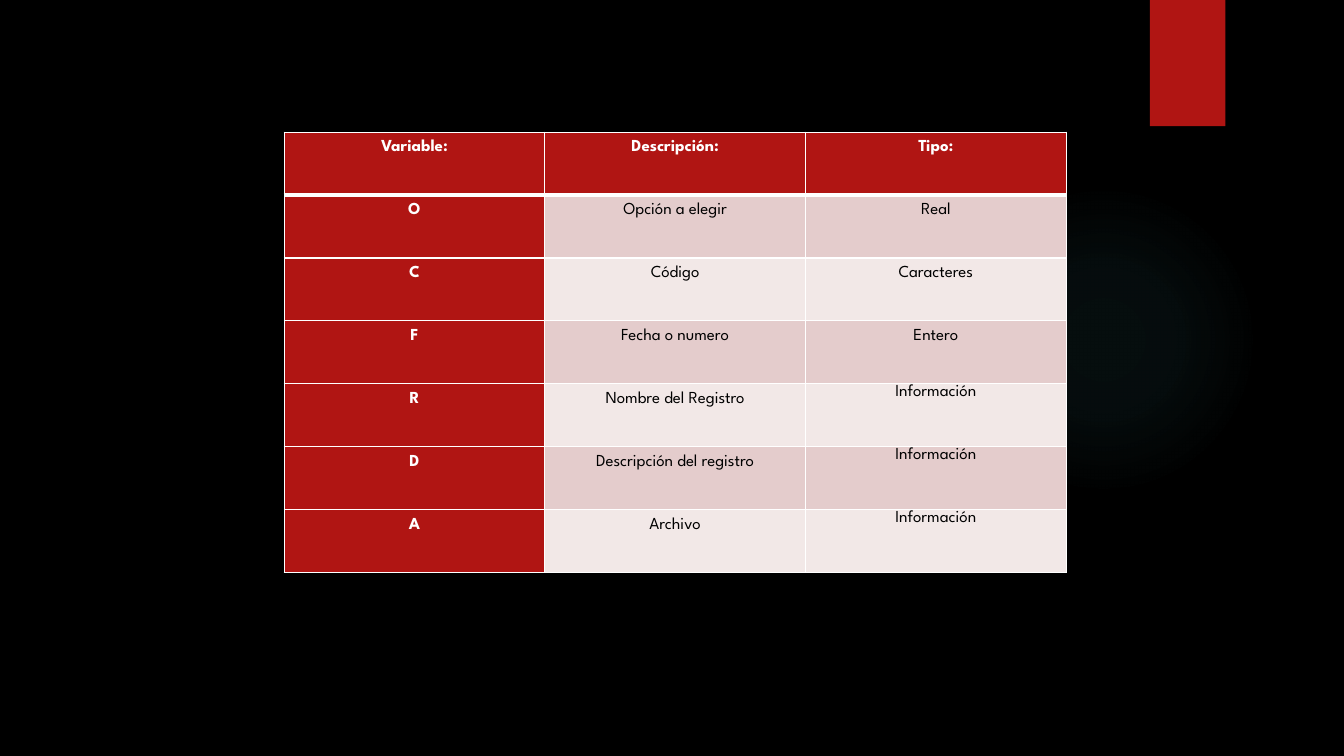
"""Build a slide with a table of variables, their descriptions and types."""
from dataclasses import dataclass

from lxml.etree import SubElement
from pptx import Presentation
from pptx.dml.color import RGBColor
from pptx.enum.shapes import MSO_SHAPE as Shp
from pptx.enum.text import PP_ALIGN as Align
from pptx.oxml import parse_xml
from pptx.oxml.ns import nsdecls, qn
from pptx.util import Cm, Pt


@dataclass(frozen=True)
class Theme:
    """Colours, font and type sizes."""
    background: str = "000000"
    accent: str = "B01513"
    glow: str = "50B9C1"
    light: str = "FFFFFF"
    dark: str = "000000"
    bands: tuple[str, str] = ("E4CCCC", "F2E8E7")
    font: str = "League Spartan"
    size: float = 12
    border: float = 1
    header_border: float = 3


@dataclass(frozen=True)
class Box:
    """Position and size in centimetres."""
    left: float
    top: float
    width: float
    height: float

    def lengths(self) -> tuple:
        """Return the four values as lengths."""
        return Cm(self.left), Cm(self.top), Cm(self.width), Cm(self.height)


@dataclass(frozen=True)
class Row:
    """One table row, with the line spacing of its last cell."""
    variable: str
    description: str
    kind: str
    kind_spacing: float = 1.5


THEME = Theme()
GLOW = Box(23.9, 4.65, 7.82, 7.82)
TAB = Box(28.98, 0, 1.9, 3.18)
TABLE = Box(7.16, 3.33, 19.71, 11.1)
GLOW_STOPS = ((0, 7), (36, 6), (69, 0))
ROWS = (
    Row("Variable:", "Descripción:", "Tipo:"),
    Row("O", "Opción a elegir", "Real"),
    Row("C", "Código", "Caracteres"),
    Row("F", "Fecha o numero", "Entero"),
    Row("R", "Nombre del Registro", "Información", 1.07),
    Row("D", "Descripción del registro", "Información", 1.07),
    Row("A", "Archivo", "Información", 1.07),
)


def rgb(value: str) -> RGBColor:
    """Turn a hex string into a colour."""
    return RGBColor.from_string(value)


def add_plain(s, kind: Shp, box: Box, color: str):
    """Add a filled shape without line or shadow."""
    sp = s.shapes.add_shape(kind, *box.lengths())
    sp.shadow.inherit = False
    sp.line.fill.background()
    sp.fill.solid()
    sp.fill.fore_color.rgb = rgb(color)
    return sp


def add_glow(s) -> None:
    """Add the circle that fades out from its centre."""
    sp = add_plain(s, Shp.OVAL, GLOW, THEME.glow)
    stops = "".join(
        f'<a:gs pos="{pos * 1000}"><a:srgbClr val="{THEME.glow}">'
        f'<a:alpha val="{alpha * 1000}"/></a:srgbClr></a:gs>'
        for pos, alpha in GLOW_STOPS)
    gradient = parse_xml(
        f'<a:gradFill {nsdecls("a")} rotWithShape="1"><a:gsLst>{stops}</a:gsLst>'
        '<a:path path="circle"><a:fillToRect l="50000" t="50000" r="50000" '
        'b="50000"/></a:path></a:gradFill>')
    solid = sp.element.spPr.find(qn("a:solidFill"))
    solid.getparent().replace(solid, gradient)


def set_borders(cell, bottom: float, top: float) -> None:
    """Draw the four borders of a cell, ahead of its fill."""
    props = cell._tc.get_or_add_tcPr()
    widths = {"lnL": THEME.border, "lnR": THEME.border, "lnT": top, "lnB": bottom}
    for side, width in widths.items():
        line = SubElement(props, qn(f"a:{side}"), w=str(Pt(width)))
        fill = SubElement(line, qn("a:solidFill"))
        SubElement(fill, qn("a:srgbClr"), val=THEME.light)


def fill_cell(cell, text: str, spacing: float, color: str, strong: bool) -> None:
    """Write and style the contents of a cell."""
    cell.margin_left = cell.margin_right = Cm(0.19)
    cell.margin_top = cell.margin_bottom = 0
    cell.fill.solid()
    cell.fill.fore_color.rgb = rgb(color)
    p = cell.text_frame.paragraphs[0]
    p.text = text
    p.alignment = Align.CENTER
    p.line_spacing = spacing
    font = p.runs[0].font
    font.name, font.size, font.bold = THEME.font, Pt(THEME.size), strong
    font.color.rgb = rgb(THEME.light if strong else THEME.dark)


def add_variables(s) -> None:
    """Add the table of variables."""
    table = s.shapes.add_table(len(ROWS), 3, *TABLE.lengths()).table
    table.first_row = table.horz_banding = False
    for i, row in enumerate(ROWS):
        bottom = THEME.header_border if i == 0 else THEME.border
        top = THEME.header_border if i == 1 else THEME.border
        texts = (row.variable, row.description, row.kind)
        for j, text in enumerate(texts):
            cell = table.cell(i, j)
            strong = i == 0 or j == 0
            color = THEME.accent if strong else THEME.bands[(i - 1) % 2]
            spacing = row.kind_spacing if j == 2 else 1.5
            set_borders(cell, bottom, top)
            fill_cell(cell, text, spacing, color, strong)


def main() -> None:
    """Build and save the slide."""
    prs = Presentation()
    prs.slide_width, prs.slide_height = Cm(33.87), Cm(19.05)
    s = prs.slides.add_slide(prs.slide_layouts[6])
    s.background.fill.solid()
    s.background.fill.fore_color.rgb = rgb(THEME.background)
    add_glow(s)
    add_plain(s, Shp.RECTANGLE, TAB, THEME.accent)
    add_variables(s)
    prs.save("out.pptx")


if __name__ == "__main__":
    main()
